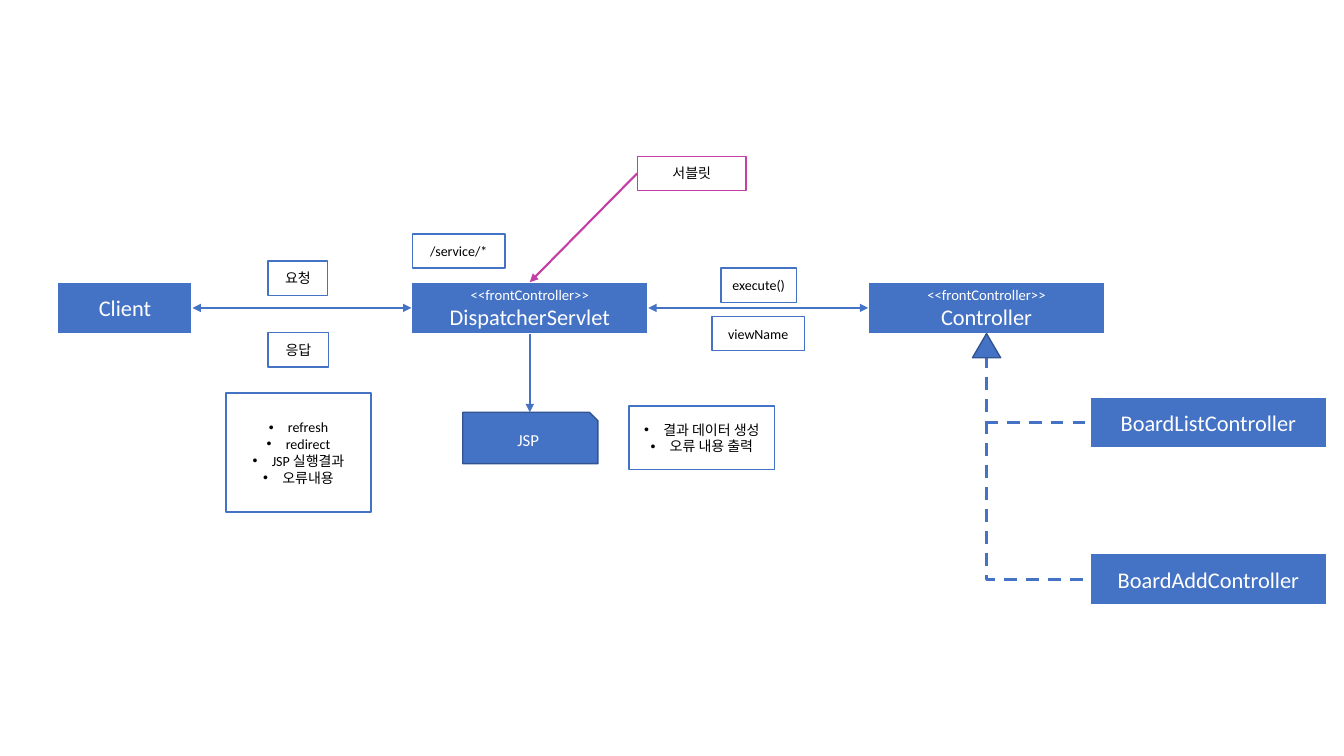
"""Draw the front controller request flow as one slide."""
from lxml.etree import SubElement
from pptx import Presentation
from pptx.dml.color import RGBColor
from pptx.enum.dml import MSO_LINE as Dash
from pptx.enum.shapes import MSO_CONNECTOR as Link, MSO_SHAPE as Form
from pptx.enum.text import MSO_ANCHOR as Anchor, PP_ALIGN as Align
from pptx.oxml.ns import qn
from pptx.util import Inches, Pt

BLUE = RGBColor(0x44, 0x72, 0xC4)
NAVY = RGBColor(0x32, 0x54, 0x91)
PINK = RGBColor(0xC4, 0x3E, 0xA7)
WHITE = RGBColor(255, 255, 255)
BLACK = RGBColor(0, 0, 0)
FONT = "Calibri"

ROW, TALL, WIDE = 2.8, 0.51, 2.35
MID, LOW = ROW + TALL / 2, ROW + TALL
STEREO = ("<<frontController>>", 10.5)
NODES = [
    (0.57, ROW, 1.34, [("Client", 16)]),
    (4.08, ROW, WIDE, [STEREO, ("DispatcherServlet", 16)]),
    (8.61, ROW, WIDE, [STEREO, ("Controller", 16)]),
    (10.81, 3.94, WIDE, [("BoardListController", 16)]),
    (10.81, 5.49, WIDE, [("BoardAddController", 16)]),
]
LABELS = [
    (2.66, 2.59, 0.59, "요청", BLUE),
    (2.66, 3.3, 0.6, "응답", BLUE),
    (7.15, 2.66, 0.75, "execute()", BLUE),
    (7.06, 3.14, 0.92, "viewName", BLUE),
    (6.32, 1.55, 1.08, "서블릿", PINK),
    (4.09, 2.32, 0.92, "/service/*", BLUE),
]
NOTES = [
    (2.24, 3.9, 1.18, ["refresh", "redirect", "JSP 실행결과", "오류내용"]),
    (6.24, 4.03, 0.63, ["결과 데이터 생성", "오류 내용 출력"]),
]
HUB, ROOT = 4.08 + WIDE / 2, 8.61 + WIDE / 2
ARROWS = [
    (1.91, MID, 4.08, MID, BLUE, True),
    (4.08 + WIDE, MID, 8.61, MID, BLUE, True),
    (HUB, LOW, HUB, 4.09, BLUE, False),
    (6.32, 1.72, HUB, ROW, PINK, False),
]


def add_box(form, x, y, w, h, fill, edge, width, lines=(), color=WHITE, dots=False):
    box = slide.shapes.add_shape(form, Inches(x), Inches(y), Inches(w), Inches(h))
    box.shadow.inherit = False
    box.fill.solid()
    box.fill.fore_color.rgb = fill
    box.line.color.rgb = edge
    box.line.width = Pt(width)
    frame = box.text_frame
    frame.word_wrap = True
    frame.vertical_anchor = Anchor.MIDDLE
    for i, (text, size) in enumerate(lines):
        para = frame.add_paragraph() if i else frame.paragraphs[0]
        para.alignment = Align.CENTER
        if dots:
            props = para._p.get_or_add_pPr()
            props.set("marL", str(Inches(0.19)))
            props.set("indent", str(Inches(-0.19)))
            SubElement(props, qn("a:buFont"), typeface="Arial")
            SubElement(props, qn("a:buChar"), char="•")
        run = para.add_run()
        run.text = text
        run.font.name = FONT
        run.font.size = Pt(size)
        run.font.color.rgb = color


def add_line(kind, x1, y1, x2, y2, color, width):
    line = slide.shapes.add_connector(kind, *map(Inches, (x1, y1, x2, y2)))
    line.line.color.rgb = color
    line.line.width = Pt(width)
    SubElement(line._element.spPr, qn("a:effectLst"))
    return line


def add_arrow(x1, y1, x2, y2, color, both):
    line = add_line(Link.STRAIGHT, x1, y1, x2, y2, color, 1.5)
    for end in ("headEnd", "tailEnd") if both else ("tailEnd",):
        SubElement(line.line._get_or_add_ln(), qn("a:" + end), type="triangle")


def add_bend(x1, y1, x2, y2):
    cx, cy = (x1 + x2) / 2, (y1 + y2) / 2
    dx, dy = (y2 - y1) / 2, (x2 - x1) / 2
    bend = add_line(Link.ELBOW, cx + dx, cy - dy, cx - dx, cy + dy, BLUE, 2.25)
    bend.line.dash_style = Dash.DASH
    props = bend._element.spPr
    props.find(qn("a:prstGeom")).set("prst", "bentConnector2")
    props.find(qn("a:xfrm")).set("rot", str(270 * 60000))


deck = Presentation()
deck.slide_width, deck.slide_height = Inches(13.33), Inches(7.5)
slide = deck.slides.add_slide(deck.slide_layouts[6])

for x, y, w, lines in NODES:
    add_box(Form.RECTANGLE, x, y, w, TALL, BLUE, WHITE, 1.5, lines)
add_box(Form.SNIP_1_RECTANGLE, 4.59, 4.09, 1.34, TALL, BLUE, NAVY, 1, [("JSP", 12)])
for x, y, w, text, edge in LABELS:
    add_box(Form.RECTANGLE, x, y, w, 0.34, WHITE, edge, 1, [(text, 10)], BLACK)
for x, y, h, items in NOTES:
    lines = [(item, 10) for item in items]
    add_box(Form.RECTANGLE, x, y, 1.44, h, WHITE, BLUE, 1, lines, BLACK, True)
for arrow in ARROWS:
    add_arrow(*arrow)
for x, y, w, lines in NODES[:2:-1]:
    add_bend(ROOT, LOW, x, y + TALL / 2)
add_box(Form.ISOSCELES_TRIANGLE, ROOT - 0.14, LOW, 0.28, 0.24, BLUE, NAVY, 1)

deck.save("out.pptx")
